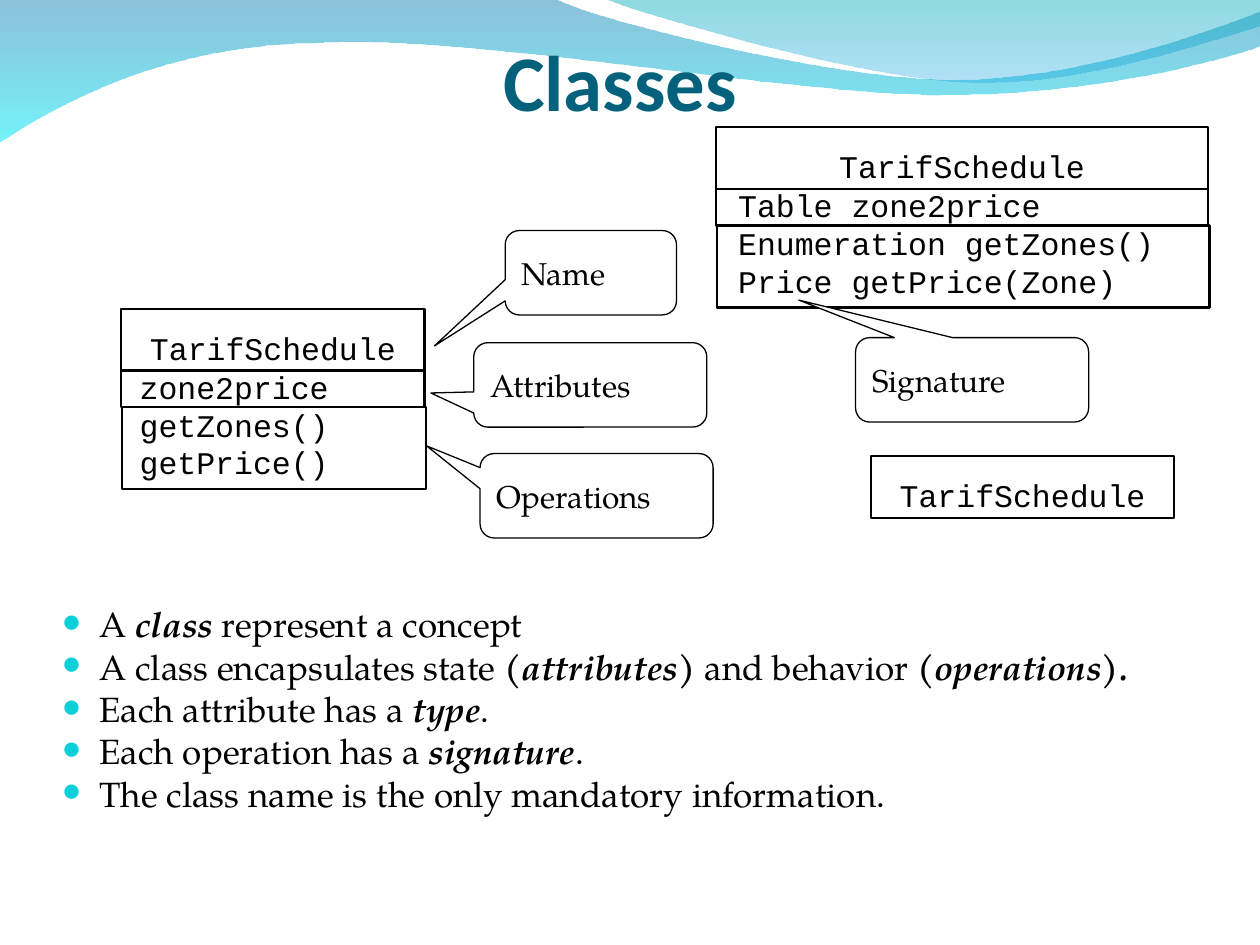
from lxml.etree import SubElement
from pptx import Presentation
from pptx.dml.color import RGBColor
from pptx.enum.shapes import MSO_SHAPE
from pptx.enum.text import MSO_ANCHOR, PP_ALIGN
from pptx.oxml import parse_xml
from pptx.oxml.ns import nsdecls, qn
from pptx.util import Inches, Pt

COLOURS = {"title": "04617B", "text": "000000", "line": "000000",
           "callout": "FFFFFF", "bullet": "0BD0D9"}
MONO, SERIF, SANS = "Courier New", "TeX Gyre Pagella", "Calibri"

# Outline points: a pair is a line end, three pairs are a Bézier curve.
# Gradient stops: position, colour, opacity, all in percent.
WAVES = [
    ([(0, -0.01), (4.4, -0.01), (4.76, 0.17, 6.64, 0.63, 7.58, 0.63),
      (8.53, 0.63, 9.58, 0.26, 10, 0.09), (10.01, 0.36),
      (9.83, 0.44, 8.7, 0.76, 7.46, 0.75), (6.22, 0.75, 3.82, 0.28, 2.57, 0.34),
      (1.29, 0.35, 0.46, 0.83, -0.01, 1.13)],
     [(0, "0079AF", 45), (100, "00EBF8", 55)]),
    ([(4.79, -0.01), (5.09, 0.11, 6.82, 0.62, 7.69, 0.65),
      (8.56, 0.69, 9.61, 0.32, 10, 0.21), (10, 0)],
     [(0, "00ADB6", 45), (100, "009BE5", 30)]),
]

# Asterisks enclose the emphasised words.
BULLETS = [
    "A *class* represent a concept",
    "A class encapsulates state *(attributes)* and behavior *(operations).*",
    "Each attribute has a *type*.",
    "Each operation has a *signature*.",
    "The class name is the only mandatory information.",
]

# left, top, width, members, indent of the members
CLASS_NAME = "TarifSchedule"
CLASSES = [
    (0.96, 2.45, 2.41, ["zone2price", "getZones()", "getPrice()"], 0.05),
    (5.68, 1.01, 3.91, ["Table zone2price", "Enumeration getZones()",
                        "Price getPrice(Zone)"], 0.08),
    (6.91, 3.62, 2.41, [], 0),
]
# offset right, offset down, height
NAME_PART, MEMBER_PARTS = (0, 0, 0.49), [(0, 0.49, 0.29), (0.01, 0.78, 0.65)]

# text, left, top, width, pointer tip
CALLOUTS = [
    ("Name", 4.01, 1.83, 1.36, (-0.913, 0.867)),
    ("Attributes", 3.76, 2.72, 1.85, (-0.684, 0.096)),
    ("Operations", 3.81, 3.6, 1.85, (-0.729, -0.591)),
    ("Signature", 6.79, 2.68, 1.85, (-0.744, -0.945)),
]

prs = Presentation()
prs.slide_width, prs.slide_height = Inches(10), Inches(7.5)
shapes = prs.slides.add_slide(prs.slide_layouts[6]).shapes


def colour(name):
    return RGBColor.from_string(COLOURS[name])


def format_run(run, face, size, tint="text", **styles):
    values = {"name": face, "size": Pt(size), **styles}
    for attribute, value in values.items():
        setattr(run.font, attribute, value)
    run.font.color.rgb = colour(tint)


def format_frame(frame, insets=(0.1, 0.05, 0.1, 0.05), wrap=True, anchor=MSO_ANCHOR.TOP):
    """Set the frame's insets (left, top, right, bottom), wrapping and anchor."""
    sides = ("margin_left", "margin_top", "margin_right", "margin_bottom")
    values = dict(zip(sides, map(Inches, insets)))
    values.update(word_wrap=wrap, vertical_anchor=anchor)
    for attribute, value in values.items():
        setattr(frame, attribute, value)


def add_text(box, lines, face, size, tint="text", align=PP_ALIGN.LEFT, **frame_values):
    left, top, width, height = map(Inches, box)
    frame = shapes.add_textbox(left, top, width, height).text_frame
    format_frame(frame, **frame_values)
    for i, line in enumerate(lines):
        paragraph = frame.add_paragraph() if i else frame.paragraphs[0]
        paragraph.alignment = align
        for j, words in enumerate(line.split("*")):
            if words:
                run = paragraph.add_run()
                run.text = words
                emphasis = {"bold": True, "italic": True} if j % 2 else {}
                format_run(run, face, size, tint, **emphasis)
    return frame


def add_outlined(preset, box, weight):
    shape = shapes.add_shape(preset, *map(Inches, box))
    shape.shadow.inherit = False
    shape.fill.background()
    shape.line.color.rgb = colour("line")
    shape.line.width = Pt(weight)
    return shape


def add_wave(outline, stops):
    """Build the outline through all its points, then bend the curved pieces."""
    units = 100  # outline units to the inch
    points = [(piece[i] * units, piece[i + 1] * units)
              for piece in outline for i in range(0, len(piece), 2)]
    builder = shapes.build_freeform(*points[0], scale=Inches(1) / units)
    builder.add_line_segments(points[1:], close=True)
    wave = builder.convert_to_shape()
    wave.shadow.inherit = False
    wave.line.fill.background()

    geometry = wave._element.spPr.find(qn("a:custGeom"))
    segments = iter(list(geometry.iter(qn("a:lnTo"))))
    for piece in outline[1:]:
        segment = next(segments)
        if len(piece) == 6:
            segment.tag = qn("a:cubicBezTo")
            for _ in range(2):
                merged = next(segments)
                segment.append(merged[0])
                merged.getparent().remove(merged)

    stop_xml = "".join(
        f'<a:gs pos="{place * 1000}"><a:srgbClr val="{tint}">'
        f'<a:alpha val="{opacity * 1000}"/></a:srgbClr></a:gs>'
        for place, tint, opacity in stops)
    geometry.addnext(parse_xml(
        f'<a:gradFill {nsdecls("a")}><a:gsLst>{stop_xml}</a:gsLst>'
        '<a:lin ang="5400000" scaled="0"/></a:gradFill>'))


def add_class(left, top, width, members, indent):
    parts = [NAME_PART] + (MEMBER_PARTS if members else [])
    for right, down, height in parts:
        add_outlined(MSO_SHAPE.RECTANGLE, (left + right, top + down, width, height), 1.25)
    name_width = 1.95
    add_text((left + (width - name_width) / 2, top + 0.16, name_width, 0.3),
             [CLASS_NAME], MONO, 18, insets=(0, 0, 0, 0), wrap=False)
    if members:
        add_text((left + indent, top + 0.42, width, 1), members, MONO, 18)


def add_callout(text, left, top, width, tip):
    callout = add_outlined(MSO_SHAPE.ROUNDED_RECTANGULAR_CALLOUT,
                           (left, top, width, 0.67), 0.75)
    callout.fill.solid()
    callout.fill.fore_color.rgb = colour("callout")
    for i, value in enumerate((*tip, 0.167)):
        callout.adjustments[i] = value
    frame = callout.text_frame
    format_frame(frame, wrap=False, anchor=MSO_ANCHOR.MIDDLE)
    paragraph = frame.paragraphs[0]
    paragraph.alignment = PP_ALIGN.LEFT
    run = paragraph.add_run()
    run.text = text
    format_run(run, SERIF, 18)


def add_bullets():
    frame = add_text((0.39, 4.8, 9.03, 2), BULLETS, SERIF, 20)
    for i, paragraph in enumerate(frame.paragraphs):
        paragraph.line_spacing = 0.8
        paragraph.space_before = Pt(5 if i else 0)
        properties = paragraph._p.get_or_add_pPr()
        properties.set("marL", str(Inches(0.3)))
        properties.set("indent", str(Inches(-0.3)))
        tint = SubElement(properties, qn("a:buClr"))
        SubElement(tint, qn("a:srgbClr"), val=COLOURS["bullet"])
        SubElement(properties, qn("a:buSzPct"), val="95000")
        SubElement(properties, qn("a:buFont"), typeface=MONO)
        SubElement(properties, qn("a:buChar"), char="●")


for wave in WAVES:
    add_wave(*wave)
title = add_text((0.46, 0.24, 8.92, 0.77), ["Classes"], SANS, 45, "title", PP_ALIGN.CENTER,
                 insets=(0, 0.05, 0, 0), anchor=MSO_ANCHOR.BOTTOM)
title.paragraphs[0].runs[0].font.bold = True
add_bullets()
for class_box in CLASSES:
    add_class(*class_box)
for callout in CALLOUTS:
    add_callout(*callout)
prs.save("out.pptx")
